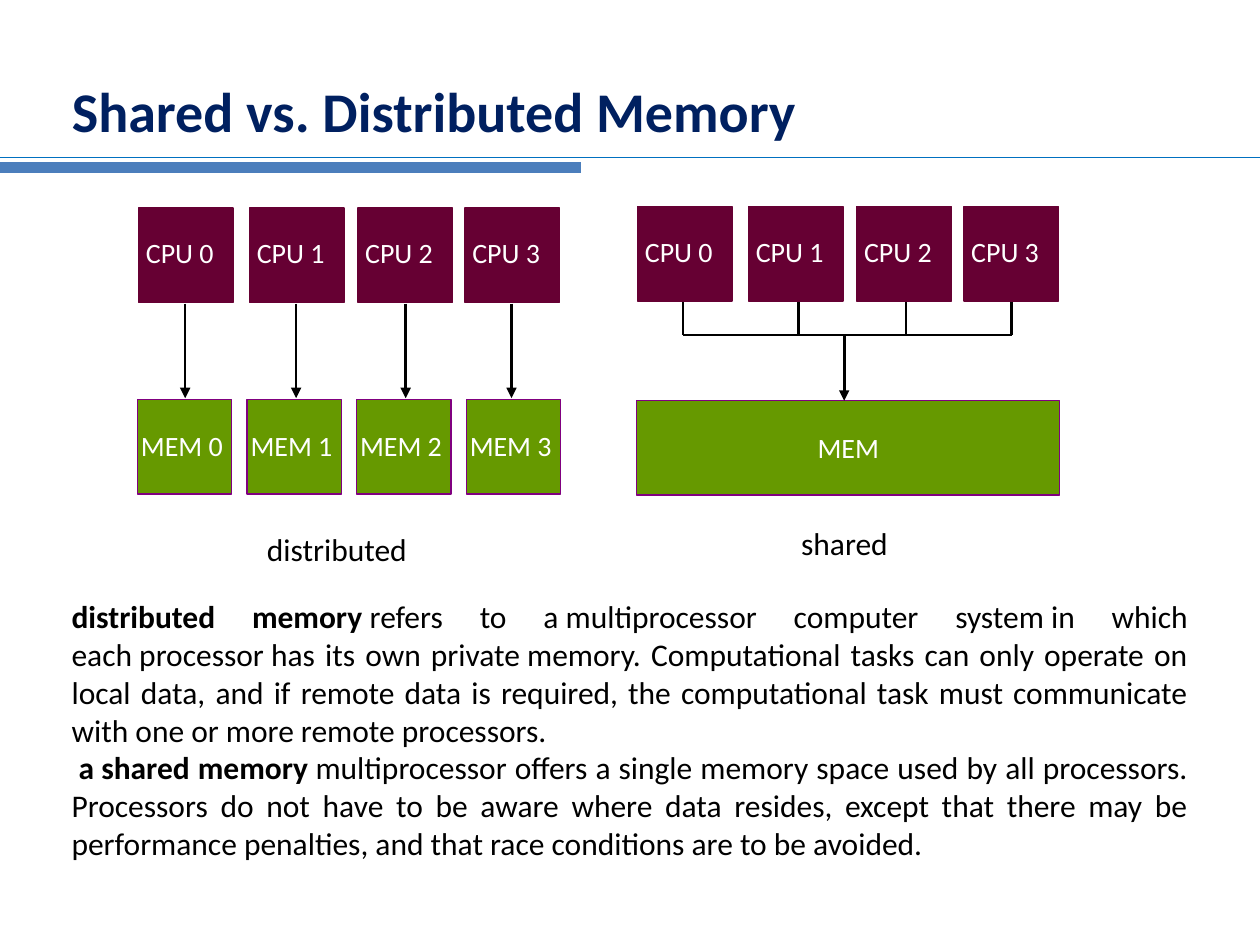
from pptx import Presentation
from pptx.dml.color import RGBColor
from pptx.enum.shapes import MSO_CONNECTOR, MSO_SHAPE
from pptx.enum.text import MSO_ANCHOR, PP_ALIGN
from pptx.oxml.ns import qn
from pptx.util import Pt
from lxml import etree

RECT = MSO_SHAPE.RECTANGLE
STRAIGHT = MSO_CONNECTOR.STRAIGHT
LEFT, JUSTIFY = PP_ALIGN.LEFT, PP_ALIGN.JUSTIFY
MIDDLE = MSO_ANCHOR.MIDDLE

PX = 9144  # 100 px to the inch
FONT = "Calibri"
NAVY, BLACK, WHITE = "002060", "000000", "FFFFFF"
WINE, GREEN, PURPLE = "660033", "669900", "800080"
HARD = chr(160)  # no-break space, typed as ~ in BODY

TITLE = "Shared vs. Distributed Memory"
RULES = [(125, 1000, "0070C0", 0.75), (133, 461, "4B7EBC", 6)]  # y, end, colour, weight
CAPTIONS = [("shared", 626, 411, 97), ("distributed", 202, 416, 135)]
BODY = [
    [("distributed memory", True),
     ("~refers to a~multiprocessor computer system~in which each~processor~has its own "
      "private~memory. Computational tasks can only operate on local data, and if remote "
      "data is required, the computational task must communicate with one or more remote "
      "processors.~", False)],
    [("~a~shared memory~", True),
     ("multiprocessor offers a single memory space used by all processors. Processors do "
      "not have to be aware where data resides, except that there may be performance "
      "penalties, and that race conditions are to be avoided.", False)],
]

SIDE = 75
CPU_X = [0, 88, 174, 259]  # offsets inside a group
GROUPS = [(110, 165), (506, 164)]
MEM_LEFT, MEM_TOP, MEM_STEP = 109, 317, 87
ARROW_X = [147, 235, 322, 406]
BUS_X, BUS_Y = [542, 634, 719, 803], 266
BANK = (505, 318, 336, SIDE)

prs = Presentation()
prs.slide_width, prs.slide_height = 1000 * PX, 750 * PX
slide = prs.slides.add_slide(prs.slide_layouts[5])
shapes = slide.shapes


def rgb(code):
    return RGBColor.from_string(code)


def scale(*nums):
    return [n * PX for n in nums]


def style(font, size, color, bold=False):
    font.name, font.size, font.bold = FONT, Pt(size), bold
    font.color.rgb = rgb(color)


def line(x1, y1, x2, y2, color=BLACK, weight=1.5, arrow=False):
    link = shapes.add_connector(STRAIGHT, *scale(x1, y1, x2, y2))
    link.line.color.rgb, link.line.width = rgb(color), Pt(weight)
    props = link._element.spPr
    if arrow:
        etree.SubElement(props.find(qn("a:ln")), qn("a:tailEnd"), type="triangle")
    etree.SubElement(props, qn("a:effectLst"))


def box(x, y, w, h, fill, edge):
    rect = shapes.add_shape(RECT, *scale(x, y, w, h))
    rect.shadow.inherit = False
    rect.fill.solid()
    rect.fill.fore_color.rgb = rgb(fill)
    rect.line.color.rgb, rect.line.width = rgb(edge), Pt(0.75)


def frame(x, y, w, h):
    area = shapes.add_textbox(*scale(x, y, w, h)).text_frame
    area.word_wrap = True
    return area


def label(text, x, y, w, h=37, size=16, color=WHITE):
    par = frame(x, y, w, h).paragraphs[0]
    par.text = text
    style(par.runs[0].font, size, color)


for y, end, color, weight in RULES:
    line(0, y, end, y, color, weight)

title = shapes.title
title.left, title.top, title.width, title.height = scale(47, 39, 900, 97)
title.text_frame.text = TITLE
title.text_frame.vertical_anchor = MIDDLE
head = title.text_frame.paragraphs[0]
head.alignment = LEFT
style(head.runs[0].font, 32, NAVY, True)

for left, top in GROUPS:
    for i, dx in enumerate(CPU_X):
        box(left + dx, top, SIDE, SIDE, WINE, WINE)
        label(f"CPU {i}", left + dx - 4, top + 17, 85)

for i, mid in enumerate(ARROW_X):
    x = MEM_LEFT + i * MEM_STEP
    box(x, MEM_TOP, SIDE, SIDE, GREEN, PURPLE)
    label(f"MEM {i}", x - 7, MEM_TOP + 18, 91)
    line(mid, 241, mid, MEM_TOP - 1, arrow=True)

box(*BANK, GREEN, PURPLE)
label("MEM", 639, 337, 72)
for x in BUS_X:
    line(x, 240, x, BUS_Y)
line(BUS_X[0], BUS_Y, BUS_X[-1], BUS_Y)
line(670, BUS_Y + 1, 670, BANK[1], arrow=True)

for text, x, y, w in CAPTIONS:
    label(text, x, y, w, 40, 18, BLACK)

area = frame(47, 469, 906, 222)
for i, parts in enumerate(BODY):
    par = area.add_paragraph() if i else area.paragraphs[0]
    par.alignment = JUSTIFY
    for text, bold in parts:
        run = par.add_run()
        run.text = text.replace("~", HARD)
        style(run.font, 18, BLACK, bold)

prs.save("out.pptx")
